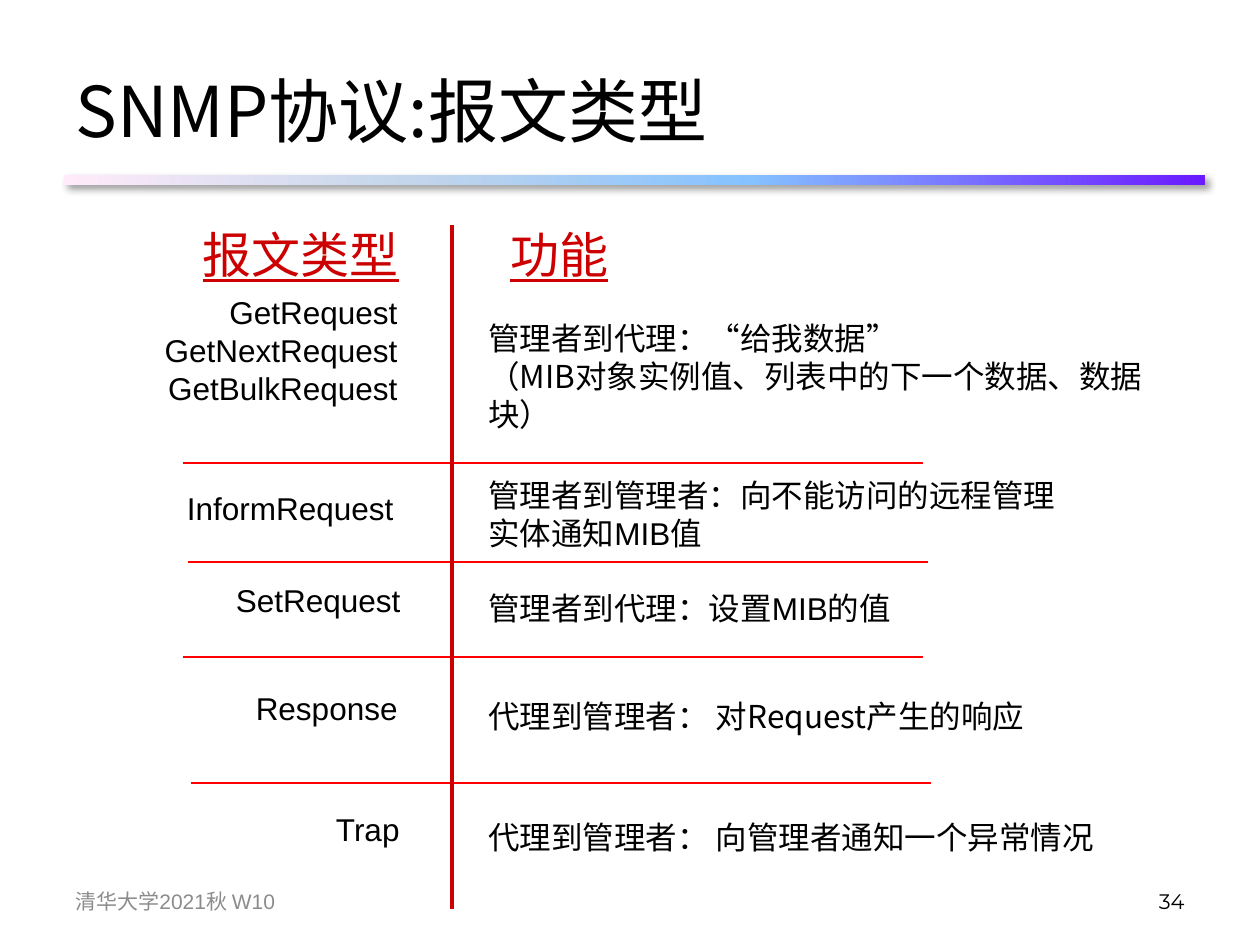
from dataclasses import dataclass
from lxml import etree
from pptx import Presentation
from pptx import util as u
from pptx.dml.color import RGBColor
from pptx.enum import shapes, text
from pptx.oxml import parse_xml
from pptx.oxml.ns import nsdecls, qn

PX = 914400 / 126


@dataclass(frozen=True)
class Theme:
    """Colours, fonts and type sizes."""
    ink: str = "000000"
    accent: str = "CC0000"
    rule: str = "FF0000"
    muted: str = "8C8C8C"
    band: tuple = ((0, "6B19FF"), (40, "85C2FF"), (70, "C4D6EB"), (100, "FFEBFA"))
    latin: str = "Arial"
    cjk: str = "Noto Sans CJK SC"
    number: str = "Montserrat"
    title: int = 40
    head: int = 28
    body: int = 18
    small: int = 12


T = Theme()
LEFT, RIGHT = text.PP_ALIGN.LEFT, text.PP_ALIGN.RIGHT

RULES = [(183, 463), (188, 562), (183, 657), (191, 783)]
NAMES = [
    (410, 287, 165, ["GetRequest", "GetNextRequest", "GetBulkRequest"]),
    (406, 483, 63, ["InformRequest"]),
    (413, 575, 63, ["SetRequest"]),
    (410, 683, 63, ["Response"]),
    (412, 804, 63, ["Trap"]),
]
ROLES = [
    (313, 741, 89, [[("管理者到代理：“给我数据”", T.cjk)],
                    [("（MIB对象实例值、列表中的下一个数据、数据块）", T.cjk)]]),
    (470, 621, 89, [[("管理者到管理者：向不能访", T.cjk),
                     ("问的远程管理实体通知MIB值", T.latin)]]),
    (583, 588, 50, [[("管理者到代理：设置", T.cjk), ("MIB", T.latin), ("的值", T.cjk)]]),
    (691, 583, 50, [[("代理到管理者： 对Request产生的响应", T.cjk)]]),
    (812, 660, 50, [[("代理到管理者： 向管理者通知一个异常情况", T.cjk)]]),
]


def px(*values):
    """Turn px lengths into EMU."""
    return [u.Emu(round(v * PX)) for v in values]


def add_run(p, words, font, size, color, underline=None):
    """Add one run with its Latin and East Asian fonts."""
    r = p.add_run()
    r.text = words
    f = r.font
    f.name, f.size, f.underline = font, u.Pt(size), underline
    f.color.rgb = RGBColor.from_string(color)
    ea = etree.Element(qn("a:ea"), typeface=T.cjk)
    r._r.get_or_add_rPr().find(qn("a:latin")).addnext(ea)


def add_text(s, box, lines, size, color=T.ink, align=LEFT, underline=None,
             anchor=text.MSO_ANCHOR.TOP):
    """Add a text box whose lines are lists of (words, font)."""
    tf = s.shapes.add_textbox(*px(*box)).text_frame
    tf.word_wrap, tf.vertical_anchor = True, anchor
    for i, runs in enumerate(lines):
        p = tf.add_paragraph() if i else tf.paragraphs[0]
        p.alignment, p.line_spacing = align, u.Pt(round(size * 1.2, 1))
        for words, font in runs:
            add_run(p, words, font, size, color, underline)


def add_line(s, x1, y1, x2, y2, color, width):
    """Add a straight line without a shadow."""
    c = s.shapes.add_connector(shapes.MSO_CONNECTOR.STRAIGHT, *px(x1, y1, x2, y2))
    c.line.color.rgb, c.line.width = RGBColor.from_string(color), u.Pt(width)
    etree.SubElement(c._element.spPr, qn("a:effectLst"))


def add_band(s, box):
    """Add the gradient band with its soft shadow."""
    sp = s.shapes.add_shape(shapes.MSO_SHAPE.RECTANGLE, *px(*box))
    sp.line.fill.background()
    stops = "".join(f'<a:gs pos="{pos * 1000}"><a:srgbClr val="{c}"/></a:gs>'
                    for pos, c in T.band)
    pr = sp._element.spPr
    pr.find(qn("a:prstGeom")).addnext(parse_xml(
        f'<a:gradFill {nsdecls("a")}><a:gsLst>{stops}</a:gsLst>'
        '<a:lin ang="10800000" scaled="0"/></a:gradFill>'))
    pr.append(parse_xml(
        f'<a:effectLst {nsdecls("a")}><a:outerShdw blurRad="50800" dist="38100" '
        'dir="2700000" algn="tl" rotWithShape="0"><a:srgbClr val="000000">'
        '<a:alpha val="40000"/></a:srgbClr></a:outerShdw></a:effectLst>'))


def add_title(s, box, words):
    """Move and fill the title placeholder."""
    sp = s.shapes.title
    sp.left, sp.top, sp.width, sp.height = px(*box)
    tf = sp.text_frame
    tf.word_wrap, tf.vertical_anchor = True, text.MSO_ANCHOR.MIDDLE
    p = tf.paragraphs[0]
    p.alignment = LEFT
    add_run(p, words, T.cjk, T.title, T.ink)


def add_names(s, x, y):
    """Add the message type column from its top left corner."""
    add_text(s, (x + 138, y + 5, 223, 72), [[("报文类型", T.cjk)]],
             T.head, T.accent, RIGHT, True)
    for right, top, height, names in NAMES:
        add_text(s, (right - 355, top, 355, height),
                 [[(name, T.latin)] for name in names], T.body, align=RIGHT)


def add_roles(s, x, y):
    """Add the function column from its top left corner."""
    add_text(s, (x + 22, y + 5, 125, 72), [[("功能", T.cjk)]],
             T.head, T.accent, underline=True)
    for top, width, height, lines in ROLES:
        add_text(s, (x, top, width, height), lines, T.body)


def add_rules(s, x, top, bottom):
    """Add the row rules and the column divider."""
    for left, y in RULES:
        add_line(s, left, y, left + 740, y, T.rule, 1)
    add_line(s, x, top, x, bottom, T.accent, 2)


def add_footer(s, x, y, width):
    """Add the course note and the page number."""
    middle = text.MSO_ANCHOR.MIDDLE
    add_text(s, (x, y, 294, 50), [[("清华大学2021秋 W10", T.latin)]],
             T.small, T.muted, anchor=middle)
    add_text(s, (x + width - 294, y, 294, 50), [[("34", T.number)]],
             T.small, align=RIGHT, anchor=middle)


def main():
    """Build and save the slide."""
    prs = Presentation()
    prs.slide_width, prs.slide_height = px(1260, 945)
    s = prs.slides.add_slide(prs.slide_layouts[5])
    add_band(s, (64, 175, 1141, 10))
    add_title(s, (63, 45, 1134, 129), "SNMP协议:报文类型")
    add_rules(s, 452, 225, 909)
    add_names(s, 50, 213)
    add_roles(s, 476, 213)
    add_footer(s, 63, 876, 1134)
    prs.save("out.pptx")


if __name__ == "__main__":
    main()
